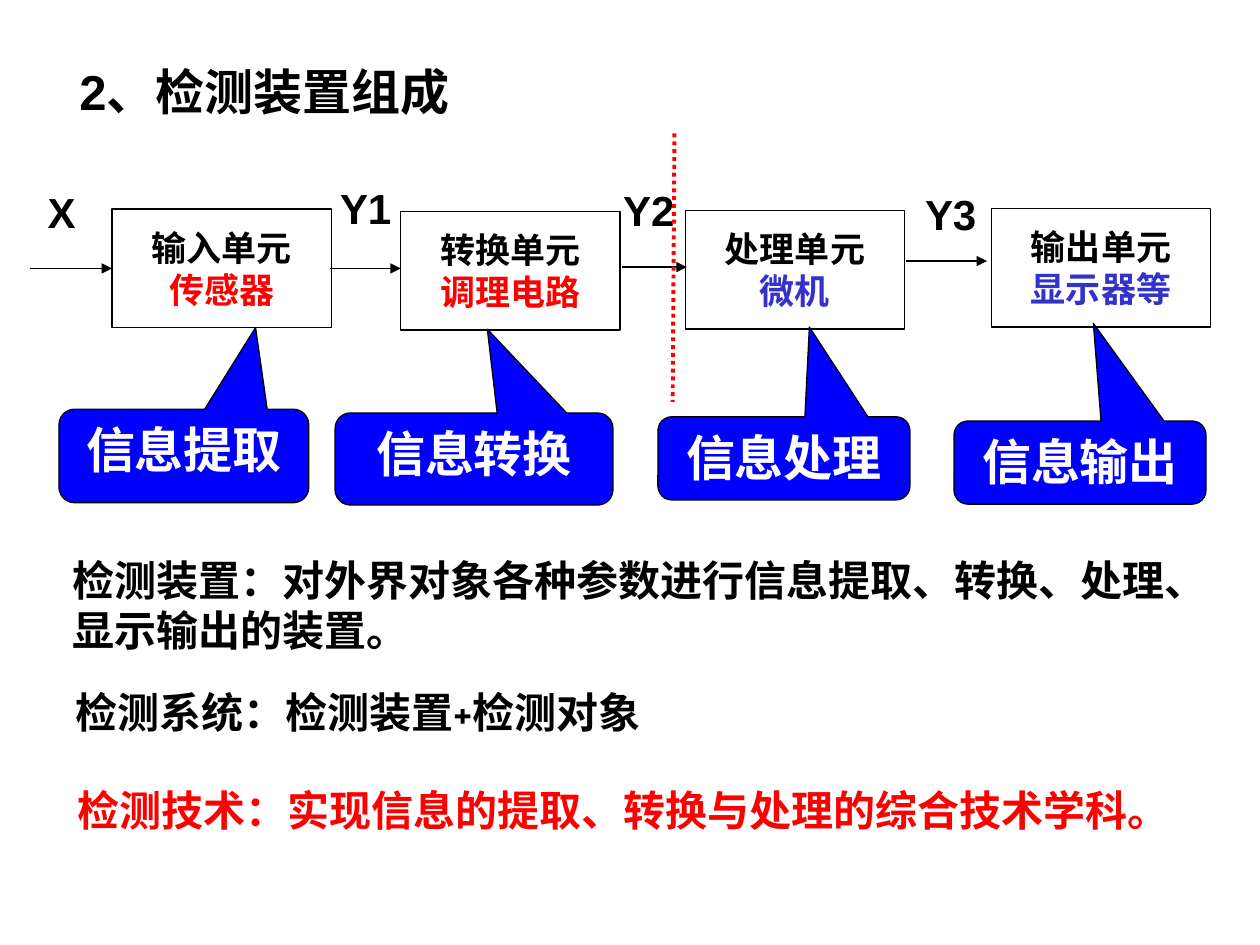
from lxml import etree
from pptx import Presentation
from pptx import util as u
from pptx.dml.color import RGBColor
from pptx.enum import dml, shapes, text
from pptx.oxml import ns

Pt = u.Pt
BLACK = RGBColor(0x00, 0x00, 0x00)
WHITE = RGBColor(0xFF, 0xFF, 0xFF)
RED = RGBColor(0xFF, 0x00, 0x00)
BLUE = RGBColor(0x00, 0x00, 0xFF)
INDIGO = RGBColor(0x33, 0x33, 0xCC)

UNIT_WIDTH, UNIT_HEIGHT = 125.3, 67.7
CALLOUT_CORNER = 0.167

# left, top, name, device, device colour
UNITS = [
    (64, 119.5, "输入单元", "传感器", RED),
    (229, 121, "转换单元", "调理电路", RED),
    (391.7, 120.4, "处理单元", "微机", INDIGO),
    (566.6, 119.2, "输出单元", "显示器等", INDIGO),
]
# left, top, width, height, tip offset across and down, function
CALLOUTS = [
    (33.7, 233.8, 142.8, 53.5, 0.287, -1.372, "信息提取"),
    (191.5, 236, 158.8, 52.6, 0.048, -1.41, "信息转换"),
    (376, 238.2, 144, 47.5, 0.101, -1.579, "信息处理"),
    (545.2, 240.6, 144, 47.5, 0.053, -1.674, "信息输出"),
]
# left, top, width, signal
SIGNALS = [
    (20.2, 103, 40.3, "X"),
    (187.2, 101, 51.8, "Y1"),
    (349, 102, 51.8, "Y2"),
    (521.5, 104, 51.8, "Y3"),
]
# start, end, height on the page
ARROWS = [
    (17.3, 64, 153.4),
    (188.6, 229, 153.4),
    (355.6, 392.4, 152.6),
    (517.5, 564, 149.2),
]
# left, top, width, height, colour, statement
STATEMENTS = [
    (34.6, 313.2, 645.8, 64.8, BLACK,
     "检测装置：对外界对象各种参数进行信息提取、转换、处理、显示输出的装置。"),
    (36, 388.8, 365, 36, BLACK, "检测系统：检测装置+检测对象"),
    (37, 445, 645.8, 36, RED, "检测技术：实现信息的提取、转换与处理的综合技术学科。"),
]


def write(para, words, *, size, color=BLACK, font="Arial", align=None):
    para.alignment = align
    span = para.add_run()
    span.text = words
    span.font.name = font
    span.font.size = Pt(size)
    span.font.bold = True
    span.font.color.rgb = color


class Diagram:
    """Draws the elements of the slide in one shared style."""

    line_width = 0.75
    center = text.PP_ALIGN.CENTER

    def __init__(self, page):
        self.page = page

    def label(self, left, top, width, height, words, **style):
        box = self.page.shapes.add_textbox(Pt(left), Pt(top), Pt(width), Pt(height))
        frame = box.text_frame
        frame.word_wrap = True
        frame.auto_size = text.MSO_AUTO_SIZE.SHAPE_TO_FIT_TEXT
        write(frame.paragraphs[0], words, **style)

    def shape(self, kind, left, top, width, height, fill=None):
        shape = self.page.shapes.add_shape(
            kind, Pt(left), Pt(top), Pt(width), Pt(height))
        shape.shadow.inherit = False
        if fill is None:
            shape.fill.background()
        else:
            shape.fill.solid()
            shape.fill.fore_color.rgb = fill
        shape.line.color.rgb = BLACK
        shape.line.width = Pt(self.line_width)
        return shape

    def unit(self, left, top, name, device, color):
        box = self.shape(shapes.MSO_SHAPE.RECTANGLE,
                         left, top, UNIT_WIDTH, UNIT_HEIGHT)
        frame = box.text_frame
        frame.word_wrap = False
        frame.vertical_anchor = text.MSO_ANCHOR.MIDDLE
        write(frame.paragraphs[0], name, size=20, align=self.center)
        write(frame.add_paragraph(), device, size=20, color=color, align=self.center)

    def callout(self, left, top, width, height, across, down, words):
        box = self.shape(shapes.MSO_SHAPE.ROUNDED_RECTANGULAR_CALLOUT,
                         left, top, width, height, BLUE)
        for index, value in enumerate((across, down, CALLOUT_CORNER)):
            box.adjustments[index] = value
        frame = box.text_frame
        frame.word_wrap = True
        frame.vertical_anchor = text.MSO_ANCHOR.TOP
        write(frame.paragraphs[0], words, size=28, color=WHITE, align=self.center)

    def line(self, x1, y1, x2, y2, color=BLACK, width=line_width):
        line = self.page.shapes.add_connector(
            shapes.MSO_CONNECTOR.STRAIGHT, Pt(x1), Pt(y1), Pt(x2), Pt(y2))
        line.line.color.rgb = color
        line.line.width = Pt(width)
        etree.SubElement(line._element.spPr, ns.qn("a:effectLst"))
        return line

    def arrow(self, start, end, y):
        line = self.line(start, y, end, y)
        etree.SubElement(line.line._get_or_add_ln(), ns.qn("a:tailEnd"),
                         type="triangle")

    def divider(self, x1, y1, x2, y2):
        line = self.line(x1, y1, x2, y2, RED, 2.25)
        line.line.dash_style = dml.MSO_LINE.ROUND_DOT


def main():
    deck = Presentation()
    deck.slide_width, deck.slide_height = Pt(720), Pt(540)
    diagram = Diagram(deck.slides.add_slide(deck.slide_layouts[6]))

    diagram.label(38.2, 31.7, 289.4, 41, "2、检测装置组成", size=28)
    for callout in CALLOUTS:
        diagram.callout(*callout)
    for unit in UNITS:
        diagram.unit(*unit)
    for arrow in ARROWS:
        diagram.arrow(*arrow)
    for left, top, width, signal in SIGNALS:
        diagram.label(left, top, width, 36, signal, size=24)
    diagram.divider(385.4, 76.3, 384.4, 229.7)
    for left, top, width, height, color, words in STATEMENTS:
        diagram.label(left, top, width, height, words,
                      size=24, color=color, font="Cabin")

    deck.save("out.pptx")


if __name__ == "__main__":
    main()
